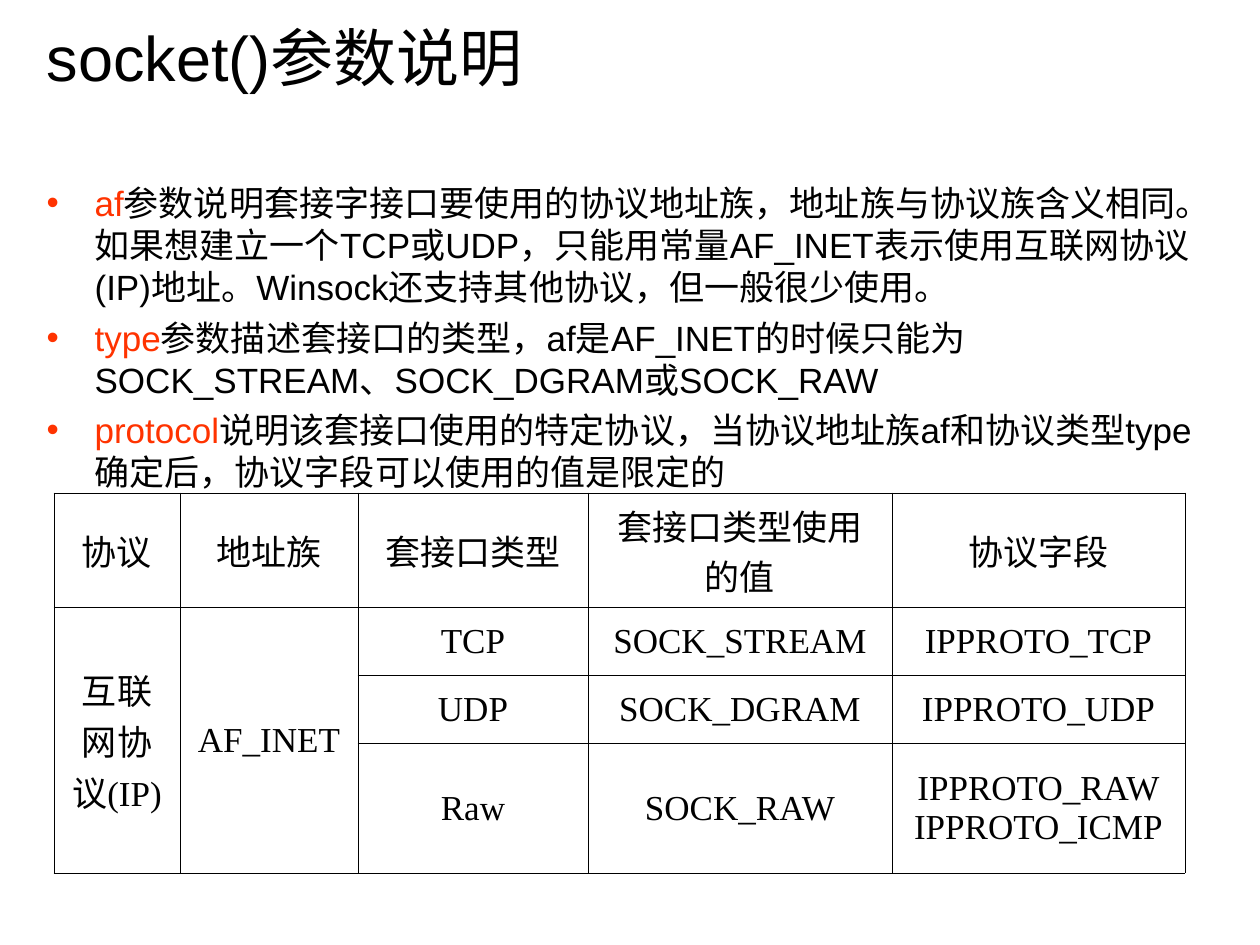
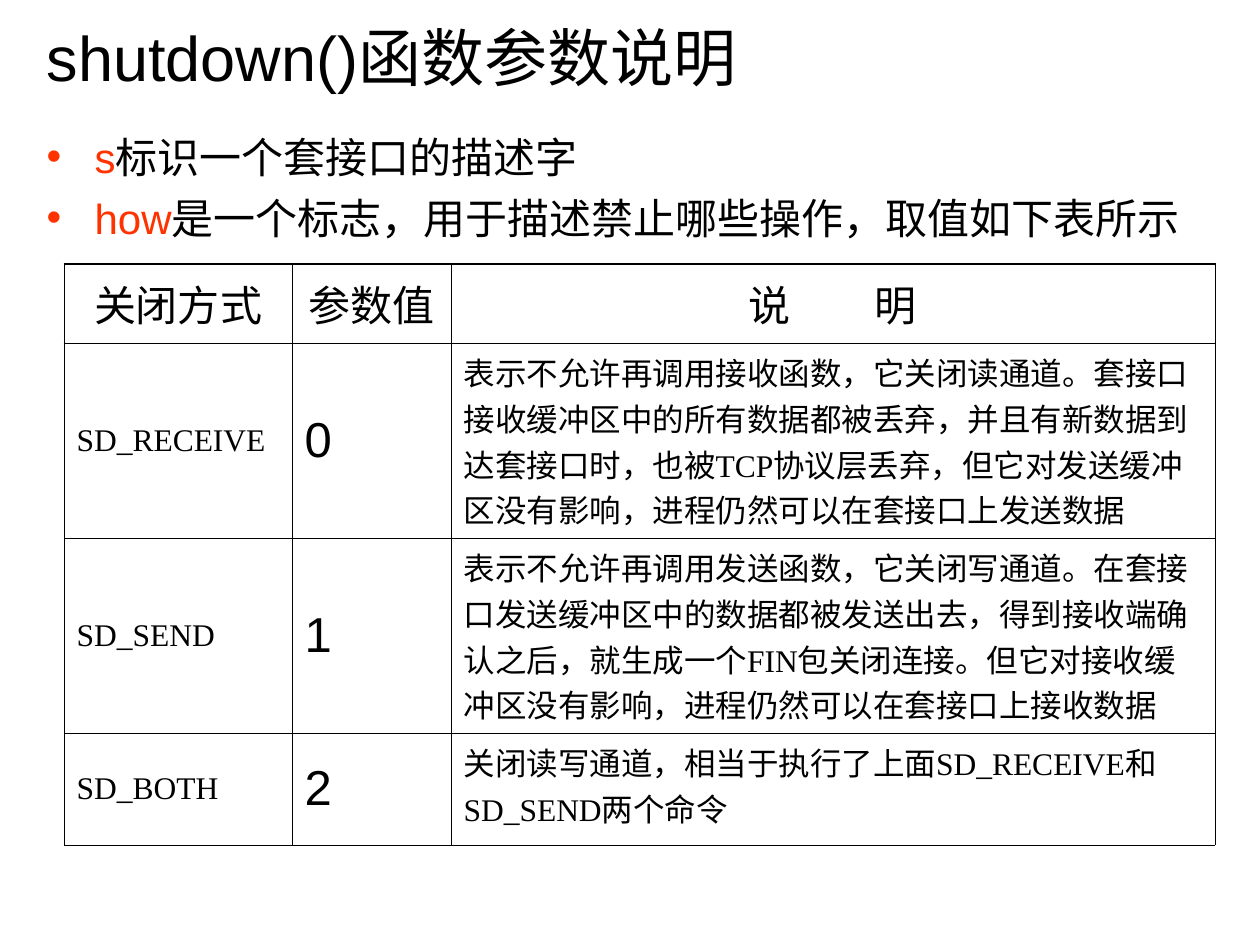
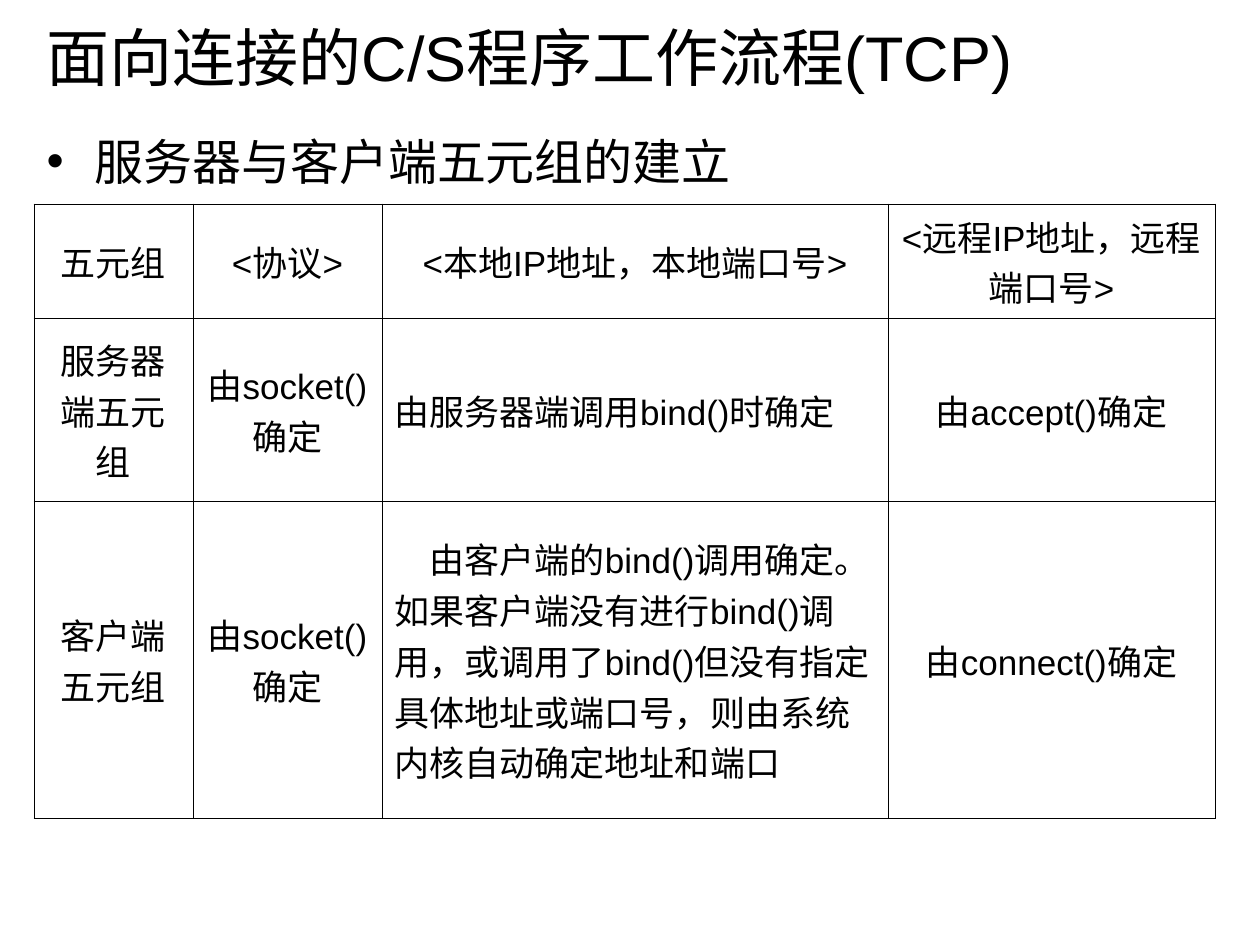
from dataclasses import dataclass
from lxml import etree
from pptx import Presentation
from pptx.dml.color import RGBColor
from pptx.enum.text import MSO_ANCHOR, MSO_AUTO_SIZE, PP_ALIGN
from pptx.oxml.ns import qn
from pptx.util import Emu, Pt

LEFT, MID = PP_ALIGN.LEFT, PP_ALIGN.CENTER
TOP, CENTER = MSO_ANCHOR.TOP, MSO_ANCHOR.MIDDLE
FIXED = MSO_AUTO_SIZE.NONE


@dataclass(frozen=True)
class Theme:
    """Colours, fonts, type sizes and line widths."""
    ink: str = "000000"
    key: str = "FF3300"
    sans: str = "Arial"
    serif: str = "Times New Roman"
    title: int = 36
    large: int = 28
    mid: int = 24
    base: int = 20
    small: int = 18
    thin: float = 0.45
    thick: float = 1.08
    hang: int = 48


T = Theme()
TITLE_BOX = (34, 8, 1191, 97)
BODY_BOX = (34, 125, 1191, 745)


def px(n):
    """Turn pixels into EMU."""
    return Emu(round(n * 914400 / 126))


def write(para, text, size=T.base, font=T.sans, color=T.ink, align=LEFT, before=0):
    """Add one formatted run to a paragraph."""
    para.alignment = align
    para.space_before = Pt(before)
    run = para.add_run()
    run.text = text
    run.font.size = Pt(size)
    run.font.name = font
    run.font.color.rgb = RGBColor.from_string(color)


def indent(para, margin, first):
    """Set margin and first-line indent, and keep punctuation inside the line."""
    props = para._p.get_or_add_pPr()
    props.set("marL", str(px(margin)))
    props.set("indent", str(px(first)))
    props.set("hangingPunct", "0")
    return props


def bullet(para, color):
    """Give a paragraph a hanging round bullet."""
    props = indent(para, T.hang, -T.hang)
    tint = etree.SubElement(props, qn("a:buClr"))
    etree.SubElement(tint, qn("a:srgbClr"), val=color)
    etree.SubElement(props, qn("a:buFont"), typeface=T.sans)
    etree.SubElement(props, qn("a:buChar"), char="•")


def place(shape, box, anchor):
    """Move a placeholder to its box and return its text frame."""
    shape.left, shape.top, shape.width, shape.height = map(px, box)
    frame = shape.text_frame
    frame.auto_size = FIXED
    frame.word_wrap = True
    frame.vertical_anchor = anchor
    return frame


def start(deck, title):
    """Add a slide with its title."""
    slide = deck.slides.add_slide(deck.slide_layouts[1])
    frame = place(slide.shapes.title, TITLE_BOX, CENTER)
    write(frame.paragraphs[0], title, size=T.title)
    return slide


def points(slide, items, size, box=BODY_BOX):
    """Fill the body with (key word, text) bullets."""
    frame = place(slide.placeholders[1], box, TOP)
    for i, (key, text) in enumerate(items):
        para = frame.add_paragraph() if i else frame.paragraphs[0]
        if key:
            write(para, key, size=size, color=T.key, before=size / 4)
        write(para, text, size=size, before=size / 4)
        bullet(para, T.key if key else T.ink)


def border(cell, top):
    """Draw thin lines round a cell, with its own width at the top."""
    props = cell._tc.get_or_add_tcPr()
    for i, side in enumerate("LRTB"):
        width = Pt(top if side == "T" else T.thin)
        line = etree.Element(qn(f"a:ln{side}"), w=str(width))
        fill = etree.SubElement(line, qn("a:solidFill"))
        etree.SubElement(fill, qn("a:srgbClr"), val=T.ink)
        props.insert(i, line)


def grid(slide, spot, cols, rows, data, head, forms, edge=T.thin, anchors=None):
    """Add a ruled table with one format for the head and one per column."""
    size = sum(cols), sum(rows)
    frame = slide.shapes.add_table(len(rows), len(cols), *map(px, spot + size))
    table = frame.table
    table.first_row = table.horz_banding = False
    for col, width in zip(table.columns, cols):
        col.width = px(width)
    for row, height in zip(table.rows, rows):
        row.height = px(height)
    for r, line in enumerate(data):
        for c, text in enumerate(line):
            cell = table.cell(r, c)
            cell.fill.background()
            cell.vertical_anchor = anchors[c] if r and anchors else CENTER
            border(cell, T.thin if r else edge)
            for i, part in enumerate(text.split("\n") if text else ()):
                body = cell.text_frame
                para = body.add_paragraph() if i else body.paragraphs[0]
                write(para, part, **(forms[c] if r else head))
    return table


def socket(deck):
    """Build the slide on the socket() arguments."""
    slide = start(deck, "socket()参数说明")
    points(slide, [
        ("af", "参数说明套接字接口要使用的协议地址族，地址族与协议族含义相同。"
               "如果想建立一个TCP或UDP，只能用常量AF_INET表示使用互联网协议(IP)地址。"
               "Winsock还支持其他协议，但一般很少使用。"),
        ("type", "参数描述套接口的类型，af是AF_INET的时候只能为"
                 "SOCK_STREAM、SOCK_DGRAM或SOCK_RAW"),
        ("protocol", "说明该套接口使用的特定协议，当协议地址族af和协议类型type确定后，"
                     "协议字段可以使用的值是限定的"),
    ], T.base, (34, 175, 1201, 694))
    form = dict(font=T.serif, align=MID)
    table = grid(slide, (54, 493), (126, 178, 230, 304, 293), (104, 68, 68, 130), [
        ("协议", "地址族", "套接口类型", "套接口类型使用的值", "协议字段"),
        ("互联网协议(IP)", "AF_INET", "TCP", "SOCK_STREAM", "IPPROTO_TCP"),
        ("", "", "UDP", "SOCK_DGRAM", "IPPROTO_UDP"),
        ("", "", "Raw", "SOCK_RAW", "IPPROTO_RAW\nIPPROTO_ICMP"),
    ], form, [form] * 5)
    for c in range(2):
        table.cell(1, c).merge(table.cell(3, c))


def shutdown(deck):
    """Build the slide on the shutdown() arguments."""
    slide = start(deck, "shutdown()函数参数说明")
    points(slide, [
        ("s", "标识一个套接口的描述字"),
        ("how", "是一个标志，用于描述禁止哪些操作，取值如下表所示"),
    ], T.mid)
    head = dict(size=T.mid, font=T.serif, align=MID)
    note = dict(size=T.small, font=T.serif, before=4.5)
    digit = dict(size=T.large, before=7)
    grid(slide, (64, 264), (228, 159, 764), (79, 164, 164, 112), [
        ("关闭方式", "参数值", "说　　明"),
        ("SD_RECEIVE", "0",
         "表示不允许再调用接收函数，它关闭读通道。套接口接收缓冲区中的所有数据都被丢弃，"
         "并且有新数据到达套接口时，也被TCP协议层丢弃，但它对发送缓冲区没有影响，"
         "进程仍然可以在套接口上发送数据"),
        ("SD_SEND", "1",
         "表示不允许再调用发送函数，它关闭写通道。在套接口发送缓冲区中的数据都被发送出去，"
         "得到接收端确认之后，就生成一个FIN包关闭连接。但它对接收缓冲区没有影响，"
         "进程仍然可以在套接口上接收数据"),
        ("SD_BOTH", "2", "关闭读写通道，相当于执行了上面SD_RECEIVE和SD_SEND两个命令"),
    ], head, [note, digit, note], T.thick, (CENTER, CENTER, TOP))


def tuples(deck):
    """Build the slide on the five-part tuples of server and client."""
    slide = start(deck, "面向连接的C/S程序工作流程(TCP)")
    points(slide, [("", "服务器与客户端五元组的建立")], T.large)
    head = dict(align=MID, before=5)
    table = grid(slide, (34, 204), (159, 189, 506, 327), (104, 183, 270), [
        ("五元组", "<协议>", "<本地IP地址，本地端口号>", "<远程IP地址，远程端口号>"),
        ("服务器端五元组", "由socket()确定", "由服务器端调用bind()时确定", "由accept()确定"),
        ("客户端五元组", "由socket()确定",
         "由客户端的bind()调用确定。如果客户端没有进行bind()调用，或调用了bind()"
         "但没有指定具体地址或端口号，则由系统内核自动确定地址和端口", "由connect()确定"),
    ], head, [head, head, dict(before=5), head])
    indent(table.cell(2, 2).text_frame.paragraphs[0], 0, 35)


def main():
    """Build the deck and save it."""
    deck = Presentation()
    deck.slide_width, deck.slide_height = px(1260), px(945)
    for build in (socket, shutdown, tuples):
        build(deck)
    deck.save("out.pptx")


if __name__ == "__main__":
    main()
